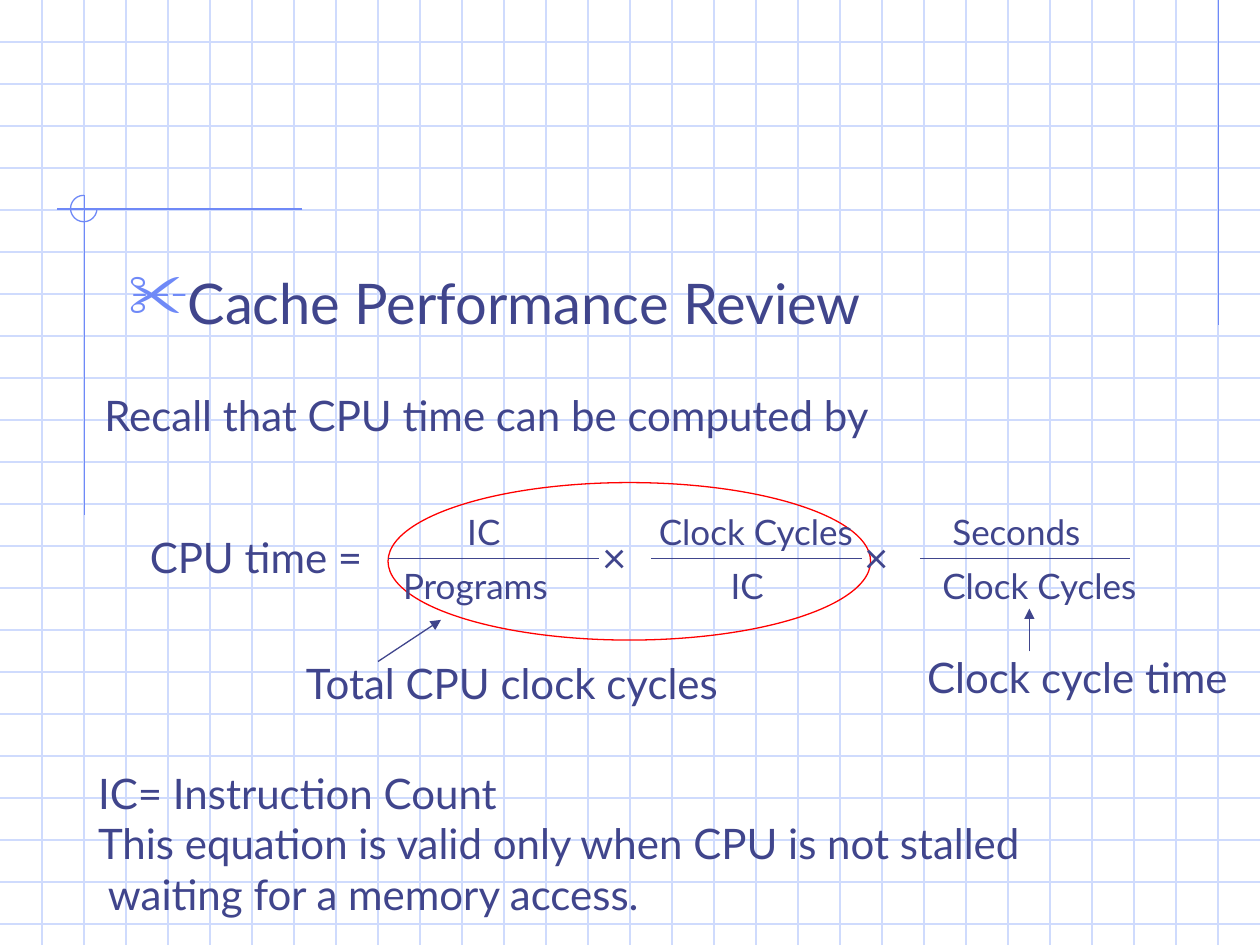
from lxml import etree
from pptx import Presentation
from pptx.dml.color import RGBColor
from pptx.enum import shapes, text
from pptx.oxml import ns
from pptx.util import Inches, Pt

GRID = RGBColor(0xCF, 0xDB, 0xFD)
ACCENT = RGBColor(0x6F, 0x89, 0xF7)
INK = RGBColor(0x40, 0x45, 0x8C)
RED = RGBColor(0xFF, 0x00, 0x00)
FONT = "Lato"

presentation = Presentation()
presentation.slide_width = Inches(10)
presentation.slide_height = Inches(7.5)
slide = presentation.slides.add_slide(presentation.slide_layouts[5])


def add_line(x1, y1, x2, y2, color, arrow=False):
    line = slide.shapes.add_connector(
        shapes.MSO_CONNECTOR.STRAIGHT, Inches(x1), Inches(y1), Inches(x2), Inches(y2))
    line.line.color.rgb = color
    line.line.width = Pt(0.75)
    if arrow:
        tail = etree.SubElement(line.line._get_or_add_ln(), ns.qn("a:tailEnd"))
        tail.set("type", "triangle")
    etree.SubElement(line._element.spPr, ns.qn("a:effectLst"))


def add_text(left, top, width, height, lines, size=24):
    box = slide.shapes.add_textbox(Inches(left), Inches(top), Inches(width), Inches(height))
    frame = box.text_frame
    frame.word_wrap = True
    for index, words in enumerate(lines):
        paragraph = frame.add_paragraph() if index else frame.paragraphs[0]
        run = paragraph.add_run()
        run.text = words
        run.font.name = FONT
        run.font.size = Pt(size)
        run.font.color.rgb = INK


# Graph paper: three squares to the inch
for row in range(1, 23):
    add_line(0, row / 3, 10, row / 3, GRID)
for column in range(1, 30):
    add_line(column / 3, 0, column / 3, 7.5, GRID)

# Drafting marks
add_line(9.67, 0, 9.67, 2.58, ACCENT)
add_line(2.4, 1.66, 0.45, 1.66, ACCENT)
add_line(0.67, 1.55, 0.67, 4.09, ACCENT)
corner_arc = slide.shapes.add_shape(
    shapes.MSO_SHAPE.ARC, Inches(0.56), Inches(1.55), Inches(0.21), Inches(0.21))
corner_arc.adjustments[0] = 0
corner_arc.adjustments[1] = 162  # 270 degrees
red_ring = slide.shapes.add_shape(
    shapes.MSO_SHAPE.OVAL, Inches(3.08), Inches(3.83), Inches(3.83), Inches(1.25))
for outline, color in ((corner_arc, ACCENT), (red_ring, RED)):
    outline.shadow.inherit = False
    outline.fill.background()
    outline.line.color.rgb = color
    outline.line.width = Pt(0.75)

# Title with scissors bullet, in front of the grid
title = slide.shapes.title
slide.shapes._spTree.append(title._element)
title.left, title.top = Inches(0.92), Inches(2.08)
title.width, title.height = Inches(8.5), Inches(0.67)
title.text_frame.vertical_anchor = text.MSO_ANCHOR.TOP
title.text_frame.auto_size = text.MSO_AUTO_SIZE.NONE
paragraph = title.text_frame.paragraphs[0]
paragraph.alignment = text.PP_ALIGN.LEFT
paragraph.space_before = Pt(0)
properties = paragraph._p.get_or_add_pPr()
properties.set("marL", str(Inches(0.38)))
properties.set("indent", str(-Inches(0.38)))
bullet_color = etree.SubElement(properties, ns.qn("a:buClr"))
etree.SubElement(bullet_color, ns.qn("a:srgbClr")).set("val", str(ACCENT))
etree.SubElement(properties, ns.qn("a:buSzPct")).set("val", "110000")
etree.SubElement(properties, ns.qn("a:buChar")).set("char", "✂")
run = paragraph.add_run()
run.text = "Cache Performance Review"
run.font.name = FONT
run.font.size = Pt(32)
run.font.color.rgb = INK

# Introduction and left side of the equation
add_text(0.73, 3.04, 6.63, 0.5, ["Recall that CPU time can be computed by"])
add_text(1.09, 4.17, 1.92, 0.5, ["CPU time ="])

# Fractions: bar left, then numerator and denominator with their left edges
fractions = [
    (3.08, "IC", 3.61, "Programs", 3.1),
    (5.17, "Clock Cycles", 5.13, "IC", 5.7),
    (7.3, "Seconds", 7.46, "Clock Cycles", 7.38),
]
for bar_left, numerator, numerator_left, denominator, denominator_left in fractions:
    add_line(bar_left, 4.43, bar_left + 1.67, 4.43, INK)
    add_text(numerator_left, 4, 1.78, 0.44, [numerator], 20)
    add_text(denominator_left, 4.43, 1.78, 0.44, [denominator], 20)
for times_left in (4.68, 6.76):
    add_text(times_left, 4.17, 0.53, 0.5, ["×"])

# Callouts
add_line(3, 5.25, 3.5, 4.92, INK, arrow=True)
add_text(2.33, 5.17, 3.6, 0.5, ["Total CPU clock cycles"])
add_line(8.17, 5.17, 8.17, 4.83, INK, arrow=True)
add_text(7.26, 5.12, 2.68, 0.5, ["Clock cycle time"])

# Closing note
add_text(0.68, 6.04, 8.07, 1.3, [
    "IC= Instruction Count",
    "This equation is valid only when CPU is not stalled",
    " waiting for a memory access.",
])

presentation.save("out.pptx")
